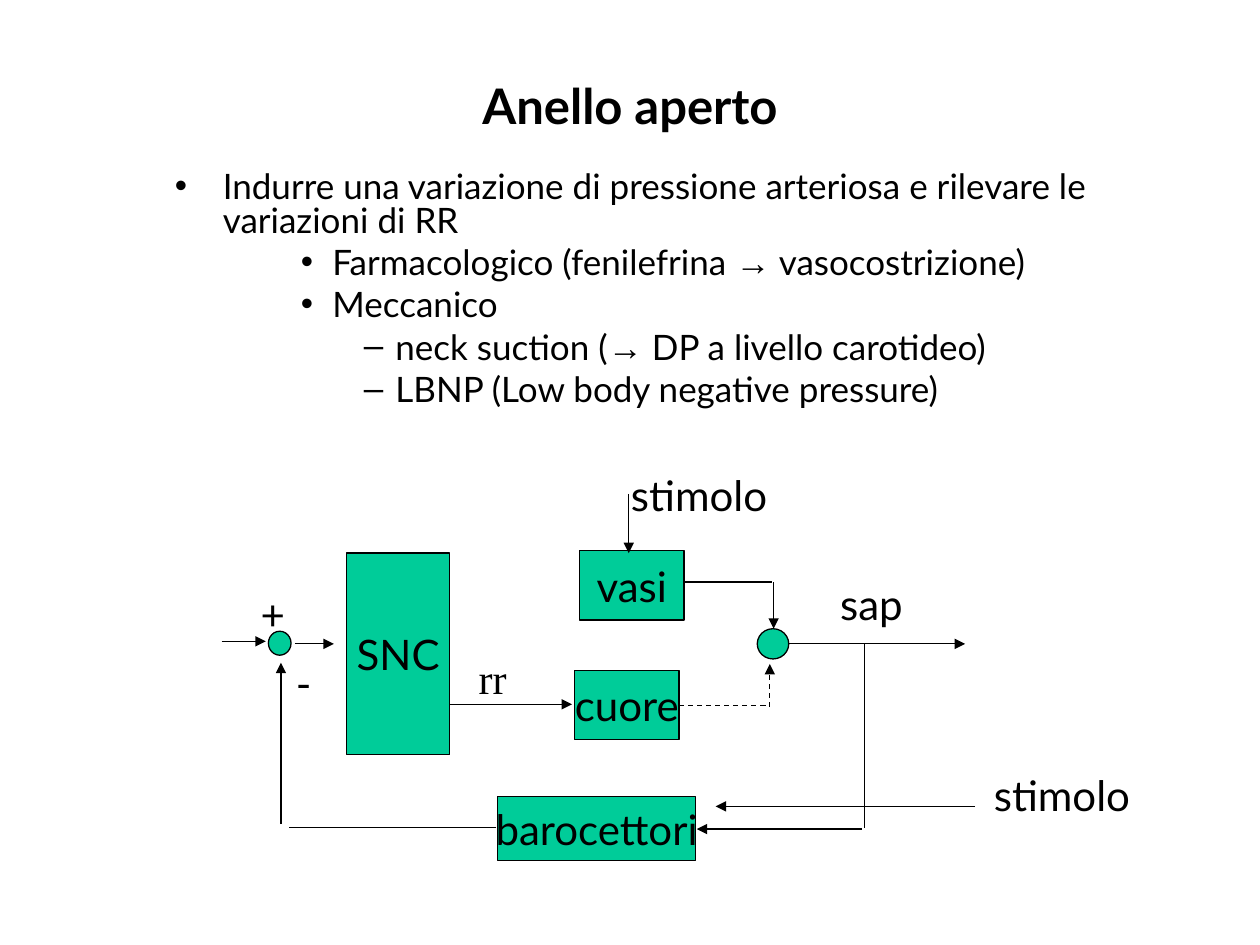
"""Build the open-loop slide: manoeuvres above a baroreflex block diagram."""
import pptx
import pptx.util
import pptx.dml.color
import pptx.enum.dml
import pptx.enum.shapes
import pptx.enum.text
import pptx.oxml.ns
from lxml import etree

COLORS = {"ink": "000000", "block": "00CC99", "paper": "FFFFFF"}
INK = pptx.dml.color.RGBColor.from_string(COLORS["ink"])
BLOCK = pptx.dml.color.RGBColor.from_string(COLORS["block"])
ALIGN = pptx.enum.text.PP_ALIGN
ANCHOR = pptx.enum.text.MSO_ANCHOR
SHAPE = pptx.enum.shapes.MSO_SHAPE
qn = pptx.oxml.ns.qn


def write(paragraph, text, size=24, font="Lato", bold=False, align=ALIGN.LEFT):
    paragraph.alignment = align
    before, arrow, after = text.partition("→")
    for part, face in ((before, font), (arrow, "Arial"), (after, font)):
        if part:
            run = paragraph.add_run()
            run.text = part
            run.font.name = face
            run.font.size = pptx.util.Pt(size)
            run.font.bold = bold
            run.font.color.rgb = INK


deck = pptx.Presentation()
deck.slide_width = pptx.util.Inches(10)
deck.slide_height = pptx.util.Inches(7.5)
col = deck.slide_width / 100
row = deck.slide_height / 75

slide = deck.slides.add_slide(deck.slide_layouts[5])
slide.background.fill.solid()
slide.background.fill.fore_color.rgb = pptx.dml.color.RGBColor.from_string(COLORS["paper"])

heading = slide.shapes.title
heading.left, heading.top = int(7.5 * col), int(2.1 * row)
heading.width, heading.height = int(85 * col), int(12.5 * row)
heading.text_frame.vertical_anchor = ANCHOR.MIDDLE
write(heading.text_frame.paragraphs[0], "Anello aperto", size=28, bold=True, align=ALIGN.CENTER)

# level: (left margin, hanging indent, bullet)
levels = {0: (0.38, 0.38, "•"), 2: (1.25, 0.25, "•"), 3: (1.75, 0.25, "–")}
manoeuvres = [
    (0, "Indurre una variazione di pressione arteriosa e rilevare le variazioni di RR"),
    (2, "Farmacologico (fenilefrina → vasocostrizione)"),
    (2, "Meccanico"),
    (3, "neck suction (→ DP a livello carotideo)"),
    (3, "LBNP (Low body negative pressure)"),
]
outline = slide.shapes.add_textbox(
    int(12.9 * col), int(13.2 * row), int(78 * col), int(21.5 * row)).text_frame
outline.word_wrap = True
for index, (level, text) in enumerate(manoeuvres):
    item = outline.add_paragraph() if index else outline.paragraphs[0]
    margin, hanging, bullet = levels[level]
    properties = item._p.get_or_add_pPr()
    properties.set("marL", str(pptx.util.Inches(margin)))
    properties.set("indent", str(-pptx.util.Inches(hanging)))
    etree.SubElement(properties, qn("a:buFont")).set("typeface", "Arial")
    etree.SubElement(properties, qn("a:buChar")).set("char", bullet)
    item.level = level
    item.line_spacing = 0.8
    item.space_before = pptx.util.Pt(5 if index else 0)
    write(item, text, size=20)

blocks = [
    (SHAPE.OVAL, 21.3, 50.1, 1.8, 1.9, ""),
    (SHAPE.RECTANGLE, 27.5, 43.9, 8.2, 16, "SNC"),
    (SHAPE.RECTANGLE, 45.6, 53.2, 8.3, 5.5, "cuore"),
    (SHAPE.RECTANGLE, 46, 43.7, 8.3, 5.5, "vasi"),
    (SHAPE.OVAL, 60.1, 49.9, 2.5, 2.4, ""),
    (SHAPE.RECTANGLE, 39.5, 63.2, 15.7, 5.1, "barocettori"),
]
for outline_kind, left, top, width, height, name in blocks:
    block = slide.shapes.add_shape(
        outline_kind, int(left * col), int(top * row), int(width * col), int(height * row))
    block.shadow.inherit = False
    block.fill.solid()
    block.fill.fore_color.rgb = BLOCK
    block.line.color.rgb = INK
    block.line.width = pptx.util.Pt(0.75)
    if name:
        block.text_frame.word_wrap = False
        block.text_frame.vertical_anchor = ANCHOR.MIDDLE
        write(block.text_frame.paragraphs[0], name, align=ALIGN.CENTER)

signals = [
    (17.6, 50.9, 21.1, 50.9, "arrow"),
    (23.4, 51.1, 26.5, 51.1, "arrow"),
    (35.7, 55.9, 45.4, 55.9, "arrow"),
    (54.3, 46.2, 61.3, 46.2, "plain"),
    (61.4, 46.2, 61.4, 49.9, "arrow"),
    (53.9, 56, 61.1, 56, "dashed"),
    (61.1, 56.1, 61.1, 52.7, "dashed arrow"),
    (62.5, 51.1, 76.6, 51.1, "arrow"),
    (68.6, 51.1, 68.6, 65.7, "plain"),
    (68.4, 65.8, 55.3, 65.8, "arrow"),
    (39.4, 65.7, 22.9, 65.7, "plain"),
    (22.3, 65.4, 22.3, 52.6, "arrow"),
    (49.9, 39.2, 49.9, 43.9, "arrow"),
    (77.4, 64, 56.8, 64, "arrow"),
]
for x1, y1, x2, y2, style in signals:
    signal = slide.shapes.add_connector(
        pptx.enum.shapes.MSO_CONNECTOR.STRAIGHT,
        int(x1 * col), int(y1 * row), int(x2 * col), int(y2 * row))
    signal.line.color.rgb = INK
    signal.line.width = pptx.util.Pt(0.75)
    if "dashed" in style:
        signal.line.dash_style = pptx.enum.dml.MSO_LINE.DASH
    if "arrow" in style:
        etree.SubElement(signal.line._get_or_add_ln(), qn("a:tailEnd")).set("type", "triangle")
    etree.SubElement(signal._element.spPr, qn("a:effectLst"))

labels = [
    ("+", 19.7, 46.2, 3.9, "Lato"),
    ("-", 22.5, 51.7, 3.1, "Lato"),
    ("rr", 37, 51.3, 4.2, "Times New Roman"),
    ("sap", 65.7, 45.4, 10.4, "Lato"),
    ("stimolo", 49.1, 36.8, 13.6, "Lato"),
    ("stimolo", 77.9, 60.6, 13.6, "Lato"),
]
for text, left, top, width, font in labels:
    label = slide.shapes.add_textbox(
        int(left * col), int(top * row), int(width * col), int(5 * row)).text_frame
    label.word_wrap = text == "sap"
    write(label.paragraphs[0], text, font=font)

deck.save("out.pptx")
